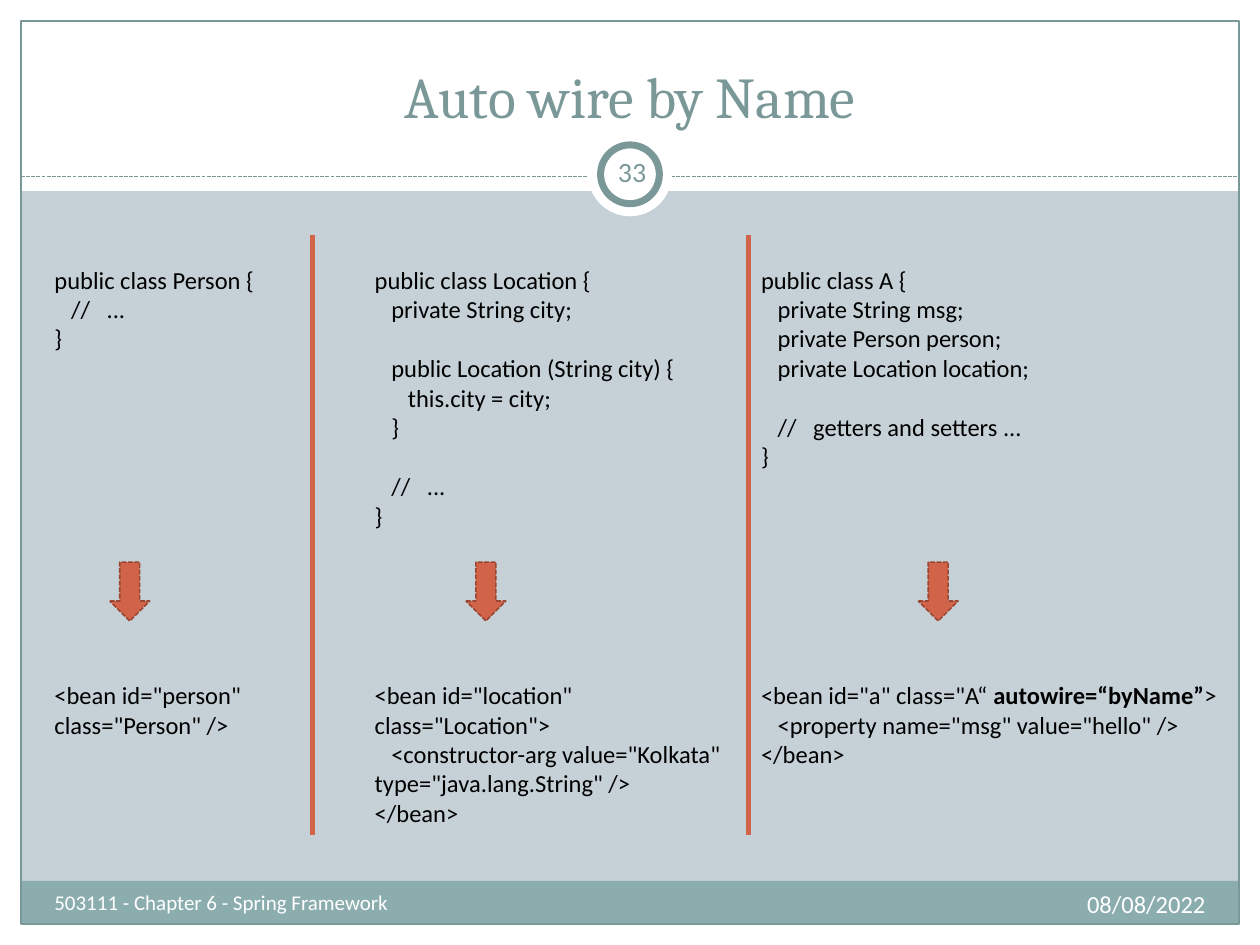
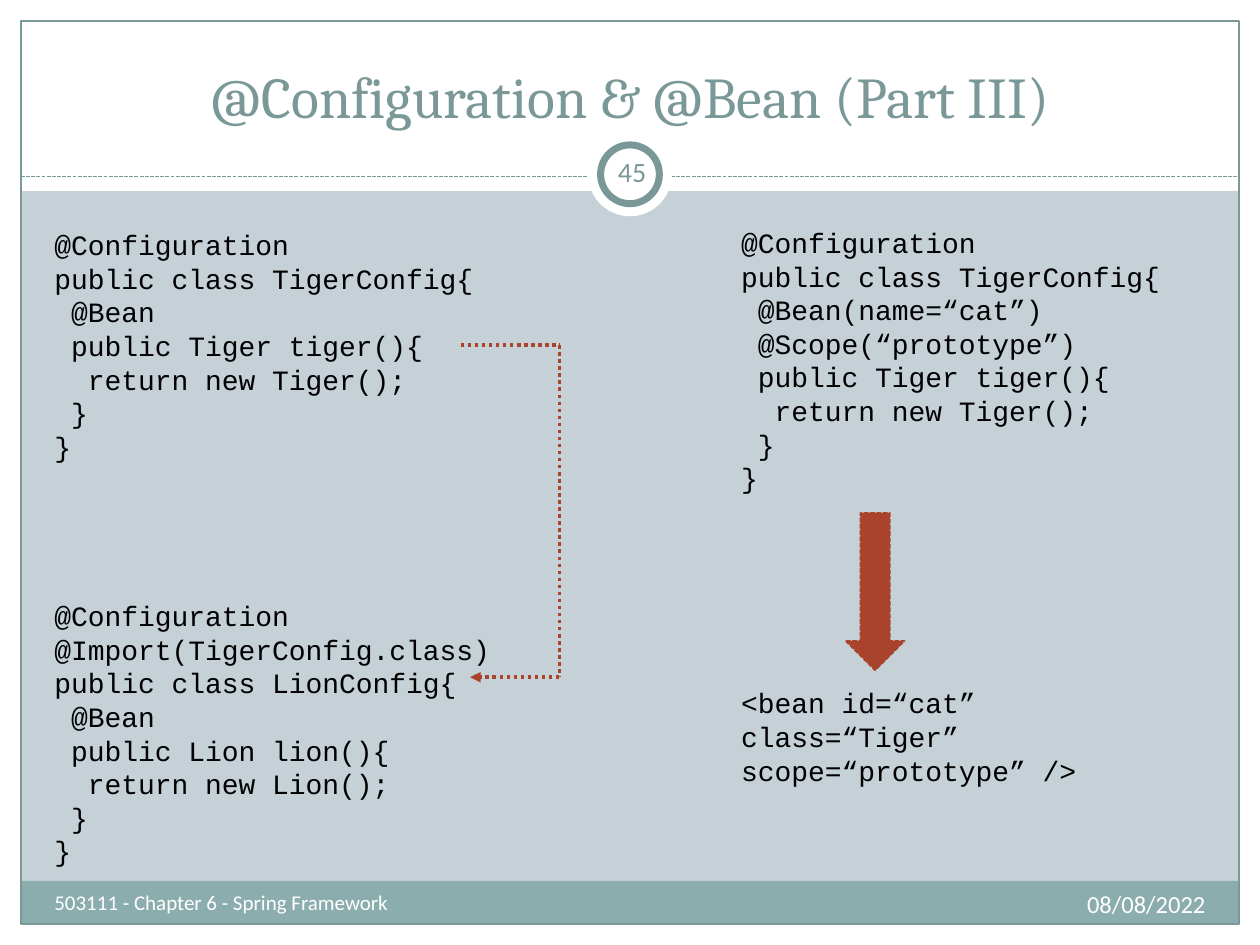
from pptx import Presentation
from pptx.dml.color import RGBColor
from pptx.enum.dml import MSO_LINE
from pptx.enum.shapes import MSO_CONNECTOR, MSO_SHAPE
from pptx.enum.text import MSO_ANCHOR, PP_ALIGN
from pptx.oxml.ns import qn
from pptx.util import Inches, Pt
from lxml.etree import SubElement

WIDTH, HEIGHT = 10, 7.5
COLS, ROWS = 60, 45
WHITE, BLACK, TEAL, BAND = "FFFFFF", "000000", "7B9899", "8CADAE"
BACK, ORANGE, BROWN, RUST = "C5D1D7", "D16349", "994733", "A9432B"
DASH, DOT = MSO_LINE.SQUARE_DOT, MSO_LINE.ROUND_DOT
LINE_HEIGHT = 1.22

TITLE = {"name": "Cambria", "size": 33, "color": TEAL}
NUMBER = {"name": "Calibri", "size": 16, "color": TEAL}
FOOTER = {"name": "Calibri", "size": 12, "color": WHITE}
DATE = {"name": "Calibri", "size": 14, "color": WHITE}
SANS_CODE = {"name": "Calibri", "size": 14, "color": BLACK}
MONO_CODE = {"name": "Courier New", "size": 16, "color": BLACK}

PERSON_CLASS = """public class Person {
   //   ...
}"""
LOCATION_CLASS = """public class Location {
   private String city;

   public Location (String city) {
      this.city = city;
   }

   //   ...
}"""
A_CLASS = """public class A {
   private String msg;
   private Person person;
   private Location location;

   //   getters and setters ...
}"""
PERSON_BEAN = '<bean id="person" class="Person" />'
LOCATION_BEAN = """<bean id="location" class="Location">
   <constructor-arg value="Kolkata" type="java.lang.String" />
</bean>"""
A_BEAN = """<bean id="a" class="A“ **autowire=“byName”**>
   <property name="msg" value="hello" />
</bean>"""
TIGER_CONFIG = """@Configuration
public class TigerConfig{
 @Bean
 public Tiger tiger(){
  return new Tiger();
 }
}"""
LION_CONFIG = """@Configuration
@Import(TigerConfig.class)
public class LionConfig{
 @Bean
 public Lion lion(){
  return new Lion();
 }
}"""
SCOPED_CONFIG = """@Configuration
public class TigerConfig{
 @Bean(name=“cat”)
 @Scope(“prototype”)
 public Tiger tiger(){
  return new Tiger();
 }
}"""
CAT_BEAN = "<bean id=“cat” class=“Tiger” scope=“prototype” />"


def rgb(value):
    return RGBColor.from_string(value)


def col(n):
    return Inches(n * WIDTH / COLS)


def row(n):
    return Inches(n * HEIGHT / ROWS)


def place(box):
    x, y, w, h = box
    return col(x), row(y), col(w), row(h)


def set_all(target, values):
    for name, value in values.items():
        setattr(target, name, value)


def set_line(line, color, width, dash=None):
    line.color.rgb = rgb(color)
    set_all(line, {"width": Pt(width), "dash_style": dash})


def add_shape(s, kind, box, fill=None, line=None):
    sp = s.shapes.add_shape(kind, *place(box))
    sp.shadow.inherit = False
    if fill:
        sp.fill.solid()
        sp.fill.fore_color.rgb = rgb(fill)
    else:
        sp.fill.background()
    if line:
        set_line(sp.line, *line)
    else:
        sp.line.fill.background()
    return sp


def add_line(s, start, end, color, width, dash=None, arrow=False):
    (x1, y1), (x2, y2) = start, end
    line = s.shapes.add_connector(MSO_CONNECTOR.STRAIGHT, col(x1), row(y1), col(x2), row(y2))
    set_line(line.line, color, width, dash)
    if arrow:
        SubElement(line.line._get_or_add_ln(), qn("a:tailEnd"), type="triangle")
    SubElement(line._element.spPr, qn("a:effectLst"))


def add_text(s, box, text, style, align=PP_ALIGN.LEFT, anchor=MSO_ANCHOR.TOP, inset=0.1):
    tf = s.shapes.add_textbox(*place(box)).text_frame
    set_all(tf, {"word_wrap": True, "vertical_anchor": anchor,
                 "margin_left": Inches(inset), "margin_right": Inches(inset)})
    p, gap = tf.paragraphs[0], 0
    for i, content in enumerate(text.split("\n")):
        if not content:
            gap += LINE_HEIGHT * style["size"]
            continue
        if i:
            p = tf.add_paragraph()
        p.alignment = align
        if gap:
            p.space_before, gap = Pt(gap), 0
        for j, part in enumerate(content.split("**")):
            r = p.add_run()
            r.text = part
            set_all(r.font, {"name": style["name"], "size": Pt(style["size"]), "bold": j % 2 == 1})
            r.font.color.rgb = rgb(style["color"])


def add_frame(s):
    s.background.fill.solid()
    s.background.fill.fore_color.rgb = rgb(BACK)
    margins = [(0, ROWS - 1, COLS, 1), (0, 0, COLS, 9.1), (0, 0, 1, ROWS), (COLS - 1, 0, 1, ROWS)]
    for box in margins:
        add_shape(s, MSO_SHAPE.RECTANGLE, box, WHITE)
    add_shape(s, MSO_SHAPE.RECTANGLE, (1, 41.95, 58, 2.05), BAND)
    add_shape(s, MSO_SHAPE.RECTANGLE, (1, 1, 58, 43), line=(TEAL, 0.75))
    add_line(s, (1, 8.4), (59, 8.4), TEAL, 0.75, DASH)
    add_shape(s, MSO_SHAPE.OVAL, (28, 6.3, 4, 4), WHITE)
    add_shape(s, MSO_SHAPE.OVAL, (28.6, 6.9, 2.8, 2.8), WHITE, (TEAL, 4))


def new_slide(prs, title, number):
    s = prs.slides.add_slide(prs.slide_layouts[6])
    add_frame(s)
    add_text(s, (2, 1.5, 56, 5), title, TITLE, PP_ALIGN.CENTER, MSO_ANCHOR.BOTTOM)
    add_text(s, (28.6, 6.7, 3, 2.9), number, NUMBER, PP_ALIGN.CENTER, MSO_ANCHOR.MIDDLE, 0.05)
    add_text(s, (2, 42.05, 23.5, 2.4), "503111 - Chapter 6 - Spring Framework", FOOTER)
    add_text(s, (38, 42.05, 20, 2.4), "08/08/2022", DATE, PP_ALIGN.RIGHT)
    return s


def add_class_to_bean(s, box, source, bean, arrow_share):
    x, y, w, h = box
    add_text(s, (x, y, w, 0.5 * h), source, SANS_CODE)
    arrow = (x + arrow_share * w - 0.95, y + 0.53 * h, 1.9, 2.8)
    add_shape(s, MSO_SHAPE.DOWN_ARROW, arrow, ORANGE, (BROWN, 0.91, DASH))
    add_text(s, (x, y + 0.725 * h, w, 0.275 * h), bean, SANS_CODE)


def add_import_flow(s, box):
    x, y, w, h = box
    add_text(s, (x, y, w, 0.38 * h), TIGER_CONFIG, MONO_CODE)
    add_text(s, (x, y + 0.57 * h, w, 0.43 * h), LION_CONFIG, MONO_CODE)
    turn, top, bottom = x + 1.1 * w, y + 0.19 * h, y + 0.7 * h
    points = [(x + 0.89 * w, top), (turn, top), (turn, bottom), (x + 0.91 * w, bottom)]
    for start, end in zip(points, points[1:]):
        add_line(s, start, end, RUST, 2, DOT, arrow=end == points[-1])


def add_scope_flow(s, box):
    x, y, w, h = box
    add_text(s, (x, y, w, 0.49 * h), SCOPED_CONFIG, MONO_CODE)
    arrow = (x + 0.25 * w, y + 0.51 * h, 2.8, 7.5)
    add_shape(s, MSO_SHAPE.DOWN_ARROW, arrow, RUST, (RUST, 0.91, DASH))
    add_text(s, (x, y + 0.8 * h, w, 0.2 * h), CAT_BEAN, MONO_CODE)


def build_autowire(prs):
    s = new_slide(prs, "Auto wire by Name", "33")
    columns = [
        (2, 11, PERSON_CLASS, PERSON_BEAN, 0.38),
        (17.25, 18.4, LOCATION_CLASS, LOCATION_BEAN, 0.32),
        (35.65, 23.15, A_CLASS, A_BEAN, 0.39),
    ]
    for x, w, source, bean, arrow_share in columns:
        add_class_to_bean(s, (x, 12.3, w, 27.3), source, bean, arrow_share)
    for x in (14.9, 35.65):
        add_line(s, (x, 11.2), (x, 39.75), ORANGE, 3)


def build_configuration(prs):
    s = new_slide(prs, "@Configuration & @Bean (Part III)", "45")
    add_import_flow(s, (2, 10.55, 22.4, 31))
    add_scope_flow(s, (34.7, 10.45, 22.3, 27.4))


def main():
    prs = Presentation()
    set_all(prs, {"slide_width": Inches(WIDTH), "slide_height": Inches(HEIGHT)})
    build_autowire(prs)
    build_configuration(prs)
    prs.save("out.pptx")


if __name__ == "__main__":
    main()
